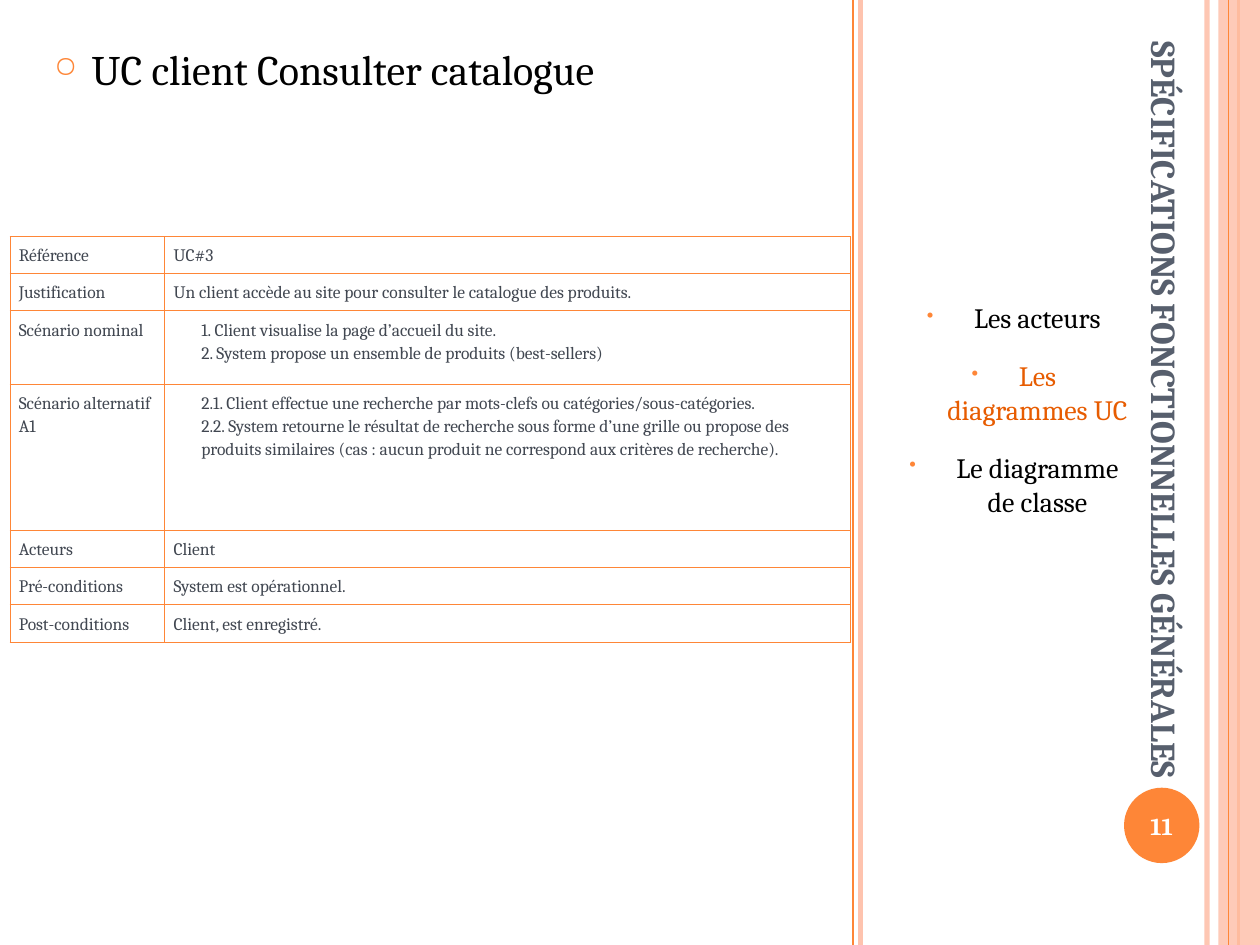
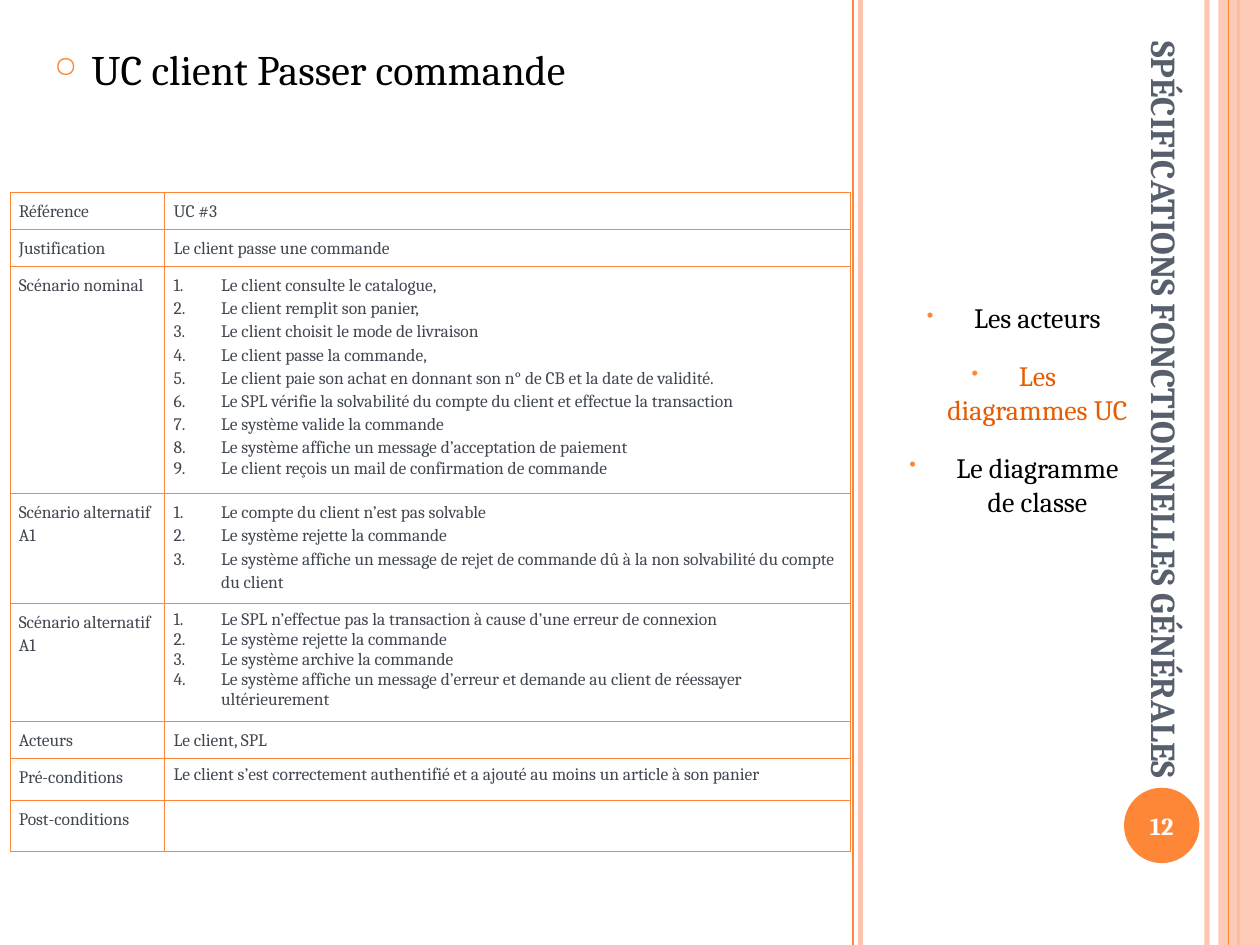
"""Build two use-case slides of the general functional specifications."""
from lxml import etree
from pptx import Presentation
from pptx.dml.color import RGBColor
from pptx.enum.shapes import MSO_CONNECTOR, MSO_SHAPE
from pptx.enum.text import MSO_ANCHOR, PP_ALIGN
from pptx.oxml.ns import qn
from pptx.util import Cm, Pt

STRAIGHT = MSO_CONNECTOR.STRAIGHT
RECTANGLE, OVAL = MSO_SHAPE.RECTANGLE, MSO_SHAPE.OVAL
TOP, MIDDLE, BOTTOM = MSO_ANCHOR.TOP, MSO_ANCHOR.MIDDLE, MSO_ANCHOR.BOTTOM
LEFT, CENTER = PP_ALIGN.LEFT, PP_ALIGN.CENTER

FONT = "Cambria"
ORANGE = RGBColor(0xFE, 0x86, 0x37)
PEACH = RGBColor(0xFE, 0xC3, 0xAE)
RUST = RGBColor(0xE7, 0x5C, 0x01)
SLATE = RGBColor(0x57, 0x5F, 0x6D)
INK = RGBColor(0x41, 0x47, 0x51)
BLACK = RGBColor(0, 0, 0)
WHITE = RGBColor(0xFF, 0xFF, 0xFF)

WIDTH, HEIGHT = 25.4, 19.05
SECTION = "SPÉCIFICATIONS FONCTIONNELLES GÉNÉRALES"
AGENDA = [
    "Les acteurs",
    ("Les diagrammes UC", {"color": RUST}),
    "Le diagramme de classe",
]
BACK_RULES = [(24.33, PEACH, 3, 93), (17.35, PEACH, 3, 100),
              (17.2, ORANGE, 1, 100), (24.97, ORANGE, 1.5, 100)]
FRONT_RULE = (24.77, ORANGE, 0.75, 100)

TABLE_LEFT = 0.2
COLUMNS = [3.12, 13.82]
INDENTED = {"margin": 0.56}
NUMBERED = {"margin": 0.96, "indent": -0.96, "numbered": True}
SINGLE = {"spacing": 1.0}

USE_CASES = [
    {
        "page": "11",
        "heading": "UC client Consulter catalogue",
        "top": 4.77,
        "rows": [
            (0.74, "Référence", ["UC#3"], {}),
            (0.74, "Justification",
             ["Un client accède au site pour consulter le catalogue des produits."], {}),
            (1.48, "Scénario nominal", [
                "1. Client visualise la page d’accueil du site.",
                "2. System propose un ensemble de produits (best-sellers)",
            ], INDENTED),
            (2.95, "Scénario alternatif A1", [
                "2.1. Client effectue une recherche par mots-clefs ou catégories/sous-catégories.",
                "2.2. System retourne le résultat de recherche sous forme d’une grille ou propose "
                "des produits similaires (cas : aucun produit ne correspond aux critères de "
                "recherche).",
            ], INDENTED),
            (0.74, "Acteurs", ["Client"], {}),
            (0.74, "Pré-conditions", ["System est opérationnel."], {}),
            (0.74, "Post-conditions", ["Client, est enregistré."], {}),
        ],
    },
    {
        "page": "12",
        "heading": "UC client Passer commande",
        "top": 3.87,
        "rows": [
            (0.72, "Référence", ["UC #3"], {}),
            (0.72, "Justification", ["Le client passe une commande"], {}),
            (4.41, "Scénario nominal", [
                "Le client consulte le catalogue,",
                "Le client remplit son panier,",
                "Le client choisit le mode de livraison",
                "Le client passe la commande,",
                "Le client paie son achat en donnant son n° de CB et la date de validité.",
                "Le SPL vérifie la solvabilité du compte du client et effectue la transaction",
                "Le système valide la commande",
                "Le système affiche un message d’acceptation de paiement",
                ("Le client reçois un mail de confirmation de commande", SINGLE),
            ], NUMBERED),
            (2.13, "Scénario alternatif A1", [
                "Le compte du client n’est pas solvable",
                "Le système rejette la commande",
                "Le système affiche un message de rejet de commande dû à la non solvabilité "
                "du compte du client",
            ], NUMBERED),
            (2.28, "Scénario alternatif A1", [
                "Le SPL n’effectue pas la transaction à cause d’une erreur de connexion",
                "Le système rejette la commande",
                "Le système archive la commande",
                "Le système affiche un message d’erreur et demande au client de réessayer "
                "ultérieurement",
            ], NUMBERED | SINGLE),
            (0.72, "Acteurs", ["Le client, SPL"], {}),
            (0.85, "Pré-conditions",
             ["Le client s’est correctement authentifié et a ajouté au moins un article "
              "à son panier"], SINGLE),
            (0.98, "Post-conditions", [], {}),
        ],
    },
]


def add_child(parent, tag, **attributes):
    child = etree.SubElement(parent, qn(tag))
    for key, value in attributes.items():
        child.set(key, str(value))
    return child


def set_alpha(properties, percent):
    if percent < 100:
        color = next(properties.iter(qn("a:srgbClr")))
        add_child(color, "a:alpha", val=percent * 1000)


def format_paragraph(paragraph, text, first, *, size, color, bold=False, align=LEFT,
                     spacing=1.0, before=0, after=0, margin=0, indent=0,
                     bullet=None, numbered=False):
    paragraph.alignment = align
    paragraph.line_spacing = spacing
    paragraph.space_before = Pt(0 if first else before)
    paragraph.space_after = Pt(after)
    properties = paragraph._p.get_or_add_pPr()
    properties.set("marL", str(Cm(margin)))
    properties.set("indent", str(Cm(indent)))
    if bullet:
        add_child(add_child(properties, "a:buClr"), "a:srgbClr", val=ORANGE)
        add_child(properties, "a:buSzPct", val=70000)
        add_child(properties, "a:buChar", char=bullet)
    if numbered:
        add_child(properties, "a:buAutoNum", type="arabicPeriod")
    run = paragraph.add_run()
    run.text = text
    run.font.name = FONT
    run.font.size = Pt(size)
    run.font.bold = bold
    run.font.color.rgb = color


def write(frame, lines, **style):
    for number, line in enumerate(lines):
        text, changes = (line, {}) if isinstance(line, str) else line
        paragraph = frame.add_paragraph() if number else frame.paragraphs[0]
        format_paragraph(paragraph, text, number == 0, **(style | changes))


def add_text(slide, box, lines, anchor=TOP, rotation=0, **style):
    holder = slide.shapes.add_textbox(*map(Cm, box))
    holder.rotation = rotation
    frame = holder.text_frame
    frame.word_wrap = True
    frame.vertical_anchor = anchor
    write(frame, lines, **style)


def add_rule(slide, x, color, weight, alpha):
    rule = slide.shapes.add_connector(STRAIGHT, Cm(x), 0, Cm(x), Cm(HEIGHT))
    rule.line.color.rgb = color
    rule.line.width = Pt(weight)
    properties = rule._element.spPr
    set_alpha(properties, alpha)
    add_child(properties, "a:effectLst")


def add_filled(slide, preset, box, color, alpha=100):
    shape = slide.shapes.add_shape(preset, *map(Cm, box))
    shape.fill.solid()
    shape.fill.fore_color.rgb = color
    set_alpha(shape._element.spPr, alpha)
    shape.line.fill.background()
    shape.shadow.inherit = False
    return shape


def add_frame(slide, page):
    for rule in BACK_RULES:
        add_rule(slide, *rule)
    band_left = 24.56
    add_filled(slide, RECTANGLE, (band_left, 0, WIDTH - band_left, HEIGHT), PEACH, 87)
    add_rule(slide, *FRONT_RULE)
    page_disc = add_filled(slide, OVAL, (22.66, 15.88, 1.52, 1.52), ORANGE)
    frame = page_disc.text_frame
    frame.margin_left = frame.margin_right = frame.margin_top = frame.margin_bottom = 0
    frame.vertical_anchor = MIDDLE
    write(frame, [page], size=14, color=WHITE, bold=True, align=CENTER)
    add_text(slide, (14.81, 8.71, 17.53, 1.27), [SECTION], anchor=BOTTOM, rotation=90,
             size=20, color=SLATE, bold=True)
    add_text(slide, (17.65, 5.94, 5.36, 5.16), AGENDA, size=16, color=BLACK, align=CENTER,
             before=4, after=10, margin=1.17, indent=-0.95, bullet="•")


def add_borders(cell):
    properties = cell._tc.get_or_add_tcPr()
    for position, side in enumerate(("a:lnL", "a:lnR", "a:lnT", "a:lnB")):
        border = etree.Element(qn(side), w=str(Pt(0.45)))
        add_child(add_child(border, "a:solidFill"), "a:srgbClr", val=ORANGE)
        properties.insert(position, border)


def add_use_case(slide, top, rows):
    heights = [row[0] for row in rows]
    table = slide.shapes.add_table(len(rows), len(COLUMNS), Cm(TABLE_LEFT), Cm(top),
                                   Cm(sum(COLUMNS)), Cm(sum(heights))).table
    table.first_row = table.horz_banding = False
    for column, width in zip(table.columns, COLUMNS):
        column.width = Cm(width)
    for table_row, (height, label, details, style) in zip(table.rows, rows):
        table_row.height = Cm(height)
        contents = [([label], {}), (details, style)]
        for cell, (lines, changes) in zip(table_row.cells, contents):
            cell.margin_left = cell.margin_right = Cm(0.18)
            cell.margin_top = cell.margin_bottom = Cm(0.13)
            cell.fill.solid()
            cell.fill.fore_color.rgb = WHITE
            add_borders(cell)
            write(cell.text_frame, lines, **({"size": 10, "color": INK, "spacing": 1.15} | changes))


def main():
    deck = Presentation()
    deck.slide_width, deck.slide_height = Cm(WIDTH), Cm(HEIGHT)
    blank = deck.slide_layouts[6]
    for use_case in USE_CASES:
        slide = deck.slides.add_slide(blank)
        add_frame(slide, use_case["page"])
        add_text(slide, (0.84, 0.76, 15.67, 2.01), [use_case["heading"]], size=24,
                 color=BLACK, margin=0.76, indent=-0.76, bullet="○")
        add_use_case(slide, use_case["top"], use_case["rows"])
    deck.save("out.pptx")


if __name__ == "__main__":
    main()
